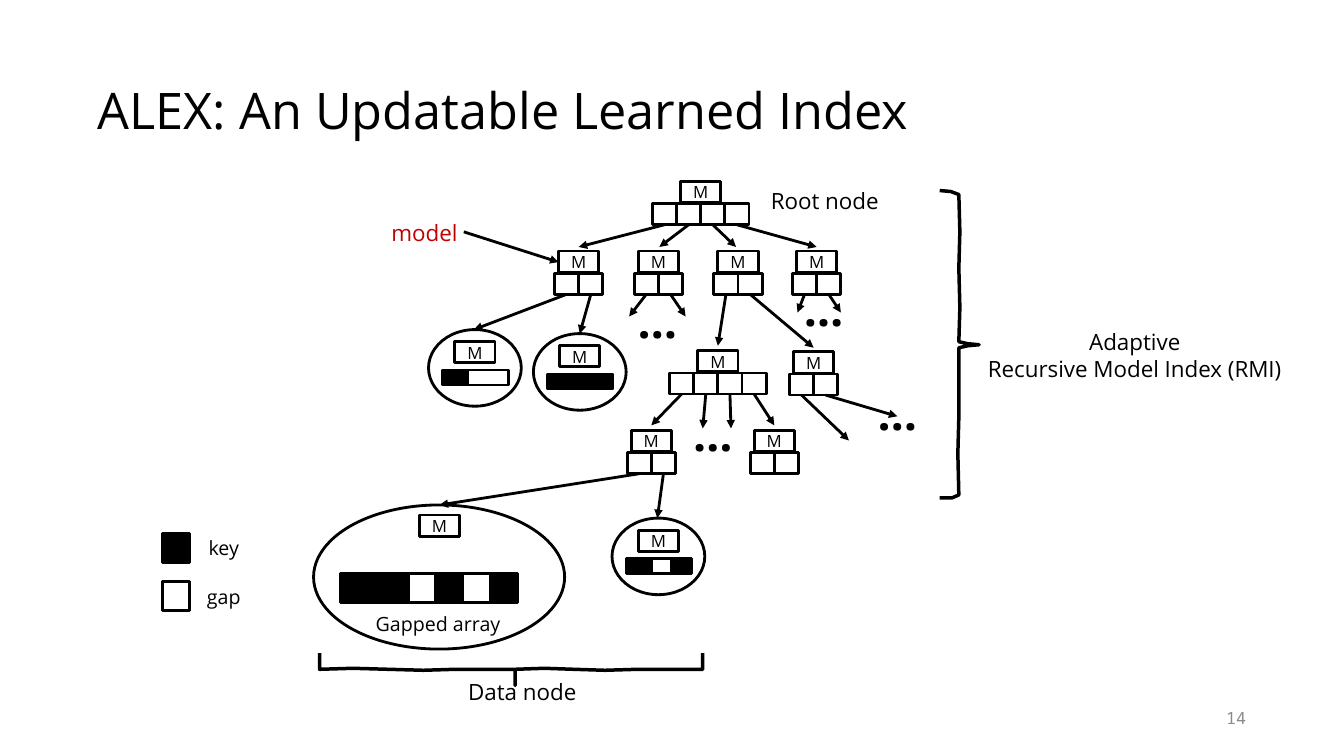
from dataclasses import dataclass

from lxml import etree
from pptx import Presentation
from pptx.dml.color import RGBColor
from pptx.enum.shapes import MSO_CONNECTOR, MSO_SHAPE
from pptx.enum.text import MSO_ANCHOR, PP_ALIGN
from pptx.oxml.ns import qn
from pptx.util import Inches, Pt

RECTANGLE, OVAL = MSO_SHAPE.RECTANGLE, MSO_SHAPE.OVAL
STRAIGHT = MSO_CONNECTOR.STRAIGHT
TOP, MIDDLE = MSO_ANCHOR.TOP, MSO_ANCHOR.MIDDLE
LEFT, CENTER, RIGHT = PP_ALIGN.LEFT, PP_ALIGN.CENTER, PP_ALIGN.RIGHT


@dataclass(frozen=True)
class Theme:
    ink: RGBColor = RGBColor(0, 0, 0)
    accent: RGBColor = RGBColor(0xC0, 0, 0)
    muted: RGBColor = RGBColor(0x88, 0x88, 0x88)
    font: str = "Open Sans"
    number_font: str = "Noto Sans Mono"
    title: float = 36
    dots: float = 33
    label: float = 16
    legend: float = 14
    small: float = 12
    line: float = 2
    brace: float = 2.5


THEME = Theme()
CELL_W, CELL_H = 0.24, 0.21
MODEL_W, MODEL_H = 0.4, 0.21
CELL_DROP = 0.22
SLOT_W, SLOT_H = 0.27, 0.29

INNER_NODES = [
    (6.47, 1.8, 4, [(5.74, 2.45), (6.54, 2.45), (7.3, 2.45), (8.1, 2.45)]),
    (5.5, 2.49, 2, [(4.7, 3.27), (5.75, 3.31)]),
    (6.29, 2.49, 2, [(6.24, 3.14), (6.8, 3.14)]),
    (7.08, 2.49, 2, [(7.12, 3.43), (8.07, 3.45)]),
    (7.86, 2.49, 2, [(7.91, 3.1), (8.34, 3.1)]),
    (6.64, 3.48, 4, [(6.46, 4.22), (6.97, 4.25), (7.25, 4.25), (7.68, 4.22)]),
    (7.83, 3.49, 2, [(8.42, 4.37), (8.9, 4.13)]),
    (6.22, 4.27, 2, [(4.36, 5.01), (6.52, 5.14)]),
    (7.44, 4.27, 2, []),
]
SMALL_DATA_NODES = [
    (4.25, 3.27, [(0.25, True), (0.4, False)]),
    (5.29, 3.31, [(0.25, True), (0.4, True)]),
    (6.07, 5.14, [(0.25, True), (0.2, False), (0.2, True)]),
]
GAPPED_ARRAY = [(0.67, True)] + [(SLOT_W, key) for key in (False, True, False, True)]
DOTS = [(6.21, 2.85), (7.86, 2.73), (6.76, 3.97), (8.59, 3.76)]
RMI_BRACE = [
    (9.32, 1.89), (9.43, 1.9), (9.51, 1.93), (9.52, 2.3), (9.51, 2.66),
    (9.52, 3.05), (9.51, 3.39), (9.6, 3.41), (9.71, 3.42), (9.6, 3.43),
    (9.51, 3.45), (9.51, 3.8), (9.51, 4.14), (9.5, 4.5), (9.51, 4.91),
    (9.44, 4.94), (9.32, 4.94),
]
DATA_BRACE = [
    (6.97, 6.48), (6.97, 6.64), (6.65, 6.64), (6.33, 6.64), (6, 6.65),
    (5.69, 6.64), (5.4, 6.63), (5.11, 6.64), (5.11, 6.8), (5.11, 6.64),
    (4.52, 6.64), (4.2, 6.65), (3.85, 6.64), (3.5, 6.63), (3.17, 6.64),
    (3.17, 6.48),
]


def write(frame, text, size, color=THEME.ink, align=CENTER, anchor=TOP,
          font=THEME.font, wrap=True, inset=0.05):
    frame.text = text
    frame.word_wrap = wrap
    frame.vertical_anchor = anchor
    frame.margin_left = frame.margin_right = Inches(inset)
    frame.margin_top = frame.margin_bottom = Inches(inset)
    for paragraph in frame.paragraphs:
        paragraph.alignment = align
        for run in paragraph.runs:
            run.font.size = Pt(size)
            run.font.name = font
            run.font.color.rgb = color


def add_label(slide, box, text, size, **style):
    label = slide.shapes.add_textbox(*map(Inches, box))
    write(label.text_frame, text, size, **style)
    return label.text_frame


def outline(shape, width):
    shape.shadow.inherit = False
    shape.line.color.rgb = THEME.ink
    shape.line.width = Pt(width)


def add_outlined(slide, kind, box, filled=False):
    shape = slide.shapes.add_shape(kind, *map(Inches, box))
    outline(shape, THEME.line)
    if filled:
        shape.fill.solid()
        shape.fill.fore_color.rgb = THEME.ink
    else:
        shape.fill.background()
    return shape


def add_model(slide, x, y):
    model = add_outlined(slide, RECTANGLE, (x, y, MODEL_W, MODEL_H))
    write(model.text_frame, "M", THEME.small, anchor=MIDDLE, wrap=False, inset=0)


def add_arrow(slide, start, end):
    arrow = slide.shapes.add_connector(STRAIGHT, *map(Inches, (*start, *end)))
    arrow.line.color.rgb = THEME.ink
    arrow.line.width = Pt(THEME.line)
    etree.SubElement(arrow.line._get_or_add_ln(), qn("a:tailEnd"), type="triangle")
    etree.SubElement(arrow._element.spPr, qn("a:effectLst"))


def add_inner_node(slide, x, y, cell_count, targets):
    cell_top = y + CELL_DROP
    for index in range(cell_count):
        add_outlined(slide, RECTANGLE, (x + index * CELL_W, cell_top, CELL_W, CELL_H))
    add_model(slide, x + (cell_count * CELL_W - MODEL_W) / 2, y)
    for index, target in enumerate(targets):
        add_arrow(slide, (x + (index + 0.5) * CELL_W, cell_top + CELL_H), target)


def add_data_node(slide, x, y, slots, size=(0.92, 0.76), model_at=(0.26, 0.12),
                  array_at=(0.14, 0.4), slot_height=0.15):
    add_outlined(slide, OVAL, (x, y, *size))
    add_model(slide, x + model_at[0], y + model_at[1])
    slot_left = x + array_at[0]
    for width, is_key in slots:
        add_outlined(slide, RECTANGLE,
                     (slot_left, y + array_at[1], width, slot_height), is_key)
        slot_left += width


def add_brace(slide, points):
    start, *rest = [(Inches(x), Inches(y)) for x, y in points]
    builder = slide.shapes.build_freeform(*start)
    builder.add_line_segments(rest, close=False)
    brace = builder.convert_to_shape()
    brace.fill.background()
    outline(brace, THEME.brace)


def add_legend(slide):
    for row, (name, is_key) in enumerate([("key", True), ("gap", False)]):
        top = 5.29 + row * 0.48
        add_outlined(slide, RECTANGLE, (1.61, top, SLOT_W, SLOT_H), is_key)
        add_label(slide, (1.9, top - 0.02, 0.64, 0.34), name, THEME.legend)


def main():
    deck = Presentation()
    deck.slide_width, deck.slide_height = Inches(13.33), Inches(7.5)
    slide = deck.slides.add_slide(deck.slide_layouts[6])

    title = add_label(slide, (0.92, 0.4, 11.5, 1.45), "ALEX: An Updatable Learned Index",
                      THEME.title, align=LEFT, anchor=MIDDLE)
    title.paragraphs[0].line_spacing = 0.9
    for x, y in DOTS:
        dots = add_label(slide, (x, y, 0.62, 0.66), "…", THEME.dots)
        dots.paragraphs[0].runs[0].font.bold = True

    for node in INNER_NODES:
        add_inner_node(slide, *node)
    for node in SMALL_DATA_NODES:
        add_data_node(slide, *node)
    add_data_node(slide, 3.11, 5.01, GAPPED_ARRAY, size=(2.49, 1.43),
                  model_at=(1.05, 0.1), array_at=(0.27, 0.68), slot_height=SLOT_H)
    add_label(slide, (3.66, 6.02, 1.37, 0.34), "Gapped array", THEME.legend)

    add_label(slide, (7.57, 1.81, 1.22, 0.37), "Root node", THEME.label, wrap=False)
    add_label(slide, (3.82, 2.12, 0.78, 0.37), "model", THEME.label,
              color=THEME.accent, wrap=False)
    add_arrow(slide, (4.6, 2.3), (5.54, 2.6))
    add_brace(slide, RMI_BRACE)
    add_label(slide, (9.52, 3.21, 3.47, 0.64),
              "Adaptive\nRecursive Model Index (RMI)", THEME.label)
    add_brace(slide, DATA_BRACE)
    add_label(slide, (4.57, 6.68, 1.22, 0.37), "Data node", THEME.label, wrap=False)
    add_legend(slide)
    add_label(slide, (12, 6.97, 0.41, 0.3), "14", THEME.small, color=THEME.muted,
              align=RIGHT, anchor=MIDDLE, font=THEME.number_font, wrap=False)
    deck.save("out.pptx")


if __name__ == "__main__":
    main()
